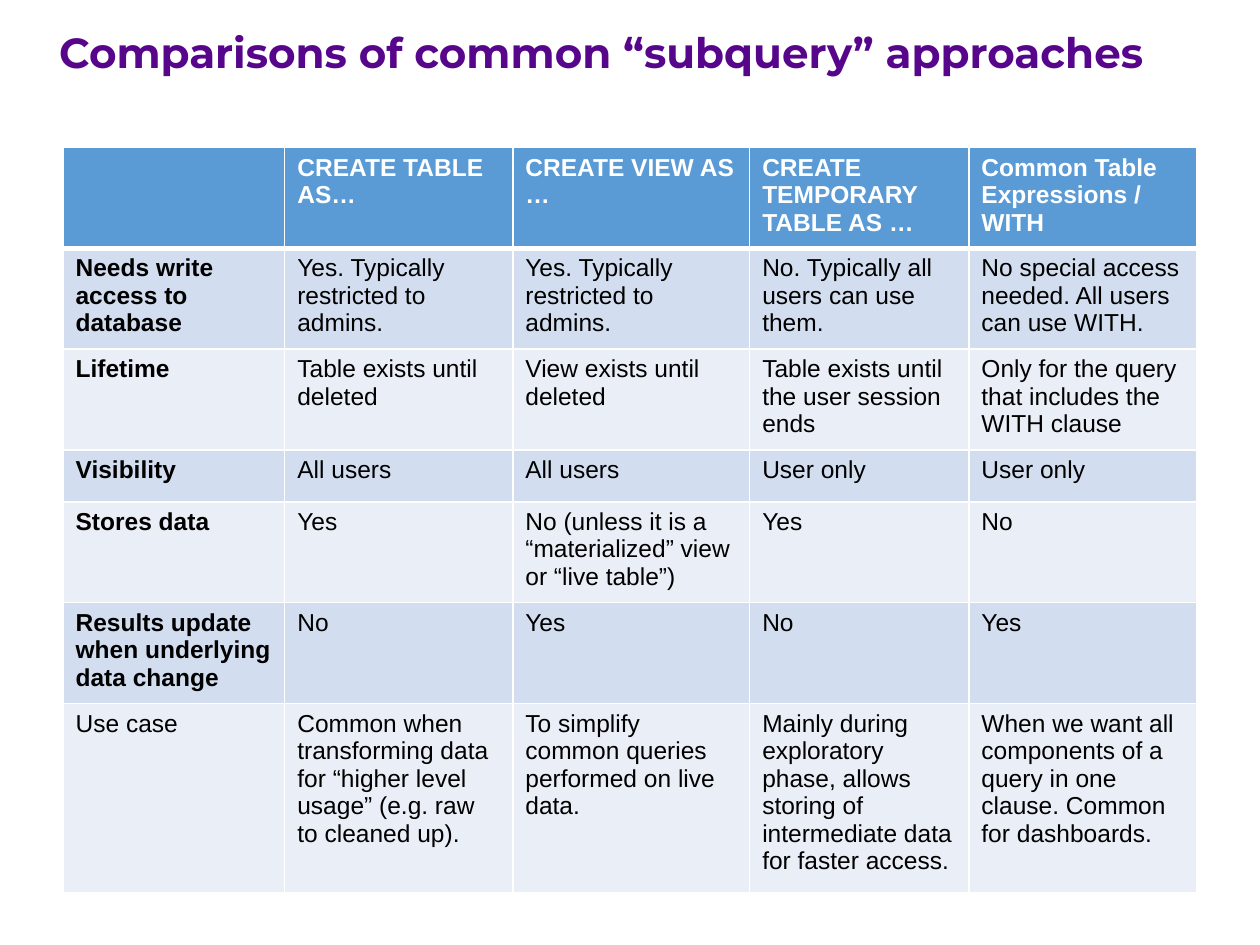
from lxml import etree
from pptx import Presentation
from pptx.dml.color import RGBColor
from pptx.enum.text import MSO_ANCHOR
from pptx.oxml.ns import qn
from pptx.util import Inches, Pt

ANCHOR_TOP = MSO_ANCHOR.TOP
WHITE, BLACK, PURPLE = "FFFFFF", "000000", "57068C"
HEADER_BLUE = "5B9BD5"
BANDS = ("D2DEEF", "EAEFF7")

COLUMN_WIDTHS = (1.76, 1.81, 1.88, 1.74, 1.81)
ROW_HEIGHTS = (0.8, 0.8, 0.8, 0.41, 0.8, 0.8, 1.5)
ROWS = (
    ("", "CREATE TABLE AS…", "CREATE VIEW AS …",
     "CREATE TEMPORARY TABLE AS …", "Common Table Expressions / WITH"),
    ("Needs write access to database",
     "Yes. Typically restricted to admins.",
     "Yes. Typically restricted to admins.",
     "No. Typically all users can use them.",
     "No special access needed. All users can use WITH."),
    ("Lifetime", "Table exists until deleted", "View exists until deleted",
     "Table exists until the user session ends",
     "Only for the query that includes the WITH clause"),
    ("Visibility", "All users", "All users", "User only", "User only"),
    ("Stores data", "Yes",
     "No (unless it is a “materialized” view or “live table”)", "Yes", "No"),
    ("Results update when underlying data change", "No", "Yes", "No", "Yes"),
    ("Use case",
     "Common when transforming data for “higher level usage” "
     "(e.g. raw to cleaned up).",
     "To simplify common queries performed on live data.",
     "Mainly during exploratory phase, allows storing of intermediate data "
     "for faster access.",
     "When we want all components of a query in one clause. "
     "Common for dashboards."),
)


def color(hex_value):
    return RGBColor.from_string(hex_value)


def add_run(paragraph, text, font_name, size, hex_value, bold):
    run = paragraph.add_run()
    run.text = text
    run.font.name = font_name
    run.font.size = Pt(size)
    run.font.bold = bold
    run.font.color.rgb = color(hex_value)


def set_borders(cell, widths):
    """Draw white cell borders; widths are points for left, right, top, bottom."""
    properties = cell._tc.get_or_add_tcPr()
    for index, (side, width) in enumerate(zip("LRTB", widths)):
        line = etree.Element(qn(f"a:ln{side}"), w=str(Pt(width)))
        fill = etree.SubElement(line, qn("a:solidFill"))
        etree.SubElement(fill, qn("a:srgbClr"), val=WHITE)
        properties.insert(index, line)


def add_title(slide, left, top, width, height):
    box = slide.shapes.add_textbox(
        Inches(left), Inches(top), Inches(width), Inches(height))
    frame = box.text_frame
    frame.word_wrap = True
    frame.vertical_anchor = ANCHOR_TOP
    frame.margin_left = frame.margin_right = Inches(0.05)
    frame.margin_top = frame.margin_bottom = Inches(0.05)
    add_run(frame.paragraphs[0], "Comparisons of common “subquery” approaches",
            "Montserrat", 24, PURPLE, True)


def add_comparison_table(slide, left, top, width, height):
    table = slide.shapes.add_table(
        len(ROWS), len(COLUMN_WIDTHS), Inches(left), Inches(top),
        Inches(width), Inches(height)).table
    for column, column_width in zip(table.columns, COLUMN_WIDTHS):
        column.width = Inches(column_width)
    for row, row_height in zip(table.rows, ROW_HEIGHTS):
        row.height = Inches(row_height)

    last_row = len(ROWS) - 1
    for row_index, texts in enumerate(ROWS):
        is_header = row_index == 0
        for column_index, text in enumerate(texts):
            cell = table.cell(row_index, column_index)
            cell.fill.solid()
            cell.fill.fore_color.rgb = color(
                HEADER_BLUE if is_header else BANDS[(row_index - 1) % 2])
            # A thicker rule separates the header from the body
            set_borders(cell, (1, 1, 3 if row_index == 1 else 1,
                               3 if is_header else 1))
            if text:
                is_label = column_index == 0 and row_index != last_row
                add_run(cell.text_frame.paragraphs[0], text, "Arial", 14,
                        WHITE if is_header else BLACK, is_header or is_label)


def main():
    presentation = Presentation()
    presentation.slide_width = Inches(10)
    presentation.slide_height = Inches(7.5)
    slide = presentation.slides.add_slide(presentation.slide_layouts[6])
    add_title(slide, 0.42, 0.16, 9.3, 0.5)
    add_comparison_table(slide, 0.5, 1.17, sum(COLUMN_WIDTHS), sum(ROW_HEIGHTS))
    presentation.save("out.pptx")


if __name__ == "__main__":
    main()
